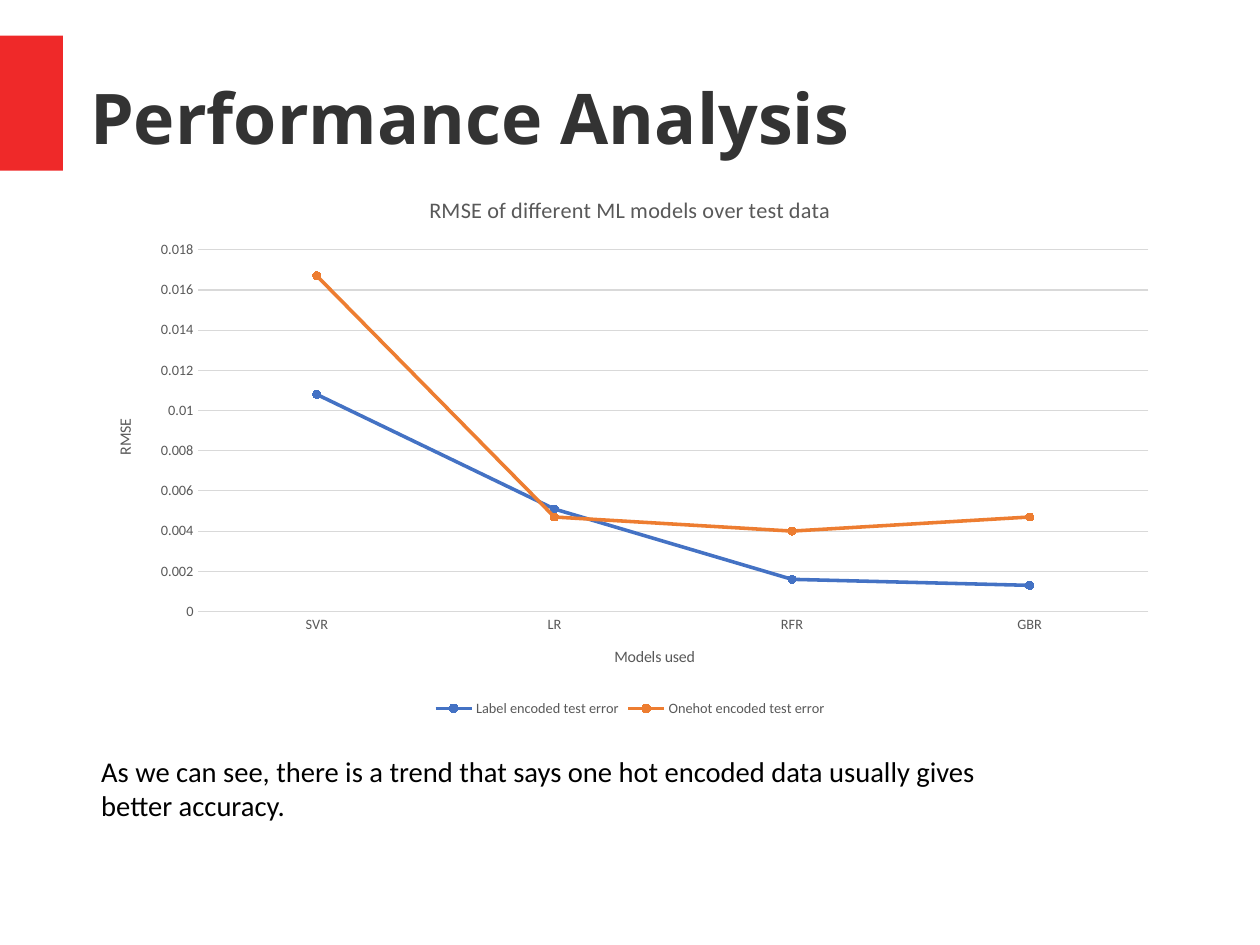
from pptx import Presentation
from pptx.chart.data import CategoryChartData
from pptx.dml.color import RGBColor
from pptx.enum.chart import XL_CHART_TYPE, XL_LEGEND_POSITION, XL_MARKER_STYLE, XL_TICK_MARK
from pptx.enum.shapes import MSO_SHAPE
from pptx.enum.text import MSO_ANCHOR
from pptx.oxml import parse_xml
from pptx.oxml.ns import nsdecls, qn
from pptx.util import Pt

# Content
TITLE = "Performance Analysis"
REMARK = ("As we can see, there is a trend that says one hot encoded data "
          "usually gives better accuracy.")
CHART_TITLE = "RMSE of different ML models over test data"
X_TITLE, Y_TITLE = "Models used", "RMSE"
MODELS = ["SVR", "LR", "RFR", "GBR"]
ERRORS = {
    "Label encoded test error": [0.0108, 0.0051, 0.0016, 0.0013],
    "Onehot encoded test error": [0.0167, 0.0047, 0.004, 0.0047],
}

THEME = {
    "head_font": "Noto Sans", "body_font": "Calibri",
    "accent": "EF2929", "head": "333333", "body": "000000",
    "label": "595959", "grid": "D9D9D9", "series": ["4472C4", "ED7D31"],
    "head_size": 44, "body_size": 18, "chart_title_size": 14,
    "axis_title_size": 10, "label_size": 9,
}

# Layout in points: left, top, width, height
SLIDE = (793.7, 595.28)
LEFT = 56.7
TAB_BOX = (0, 22.5, 39.7, 85)
TITLE_BOX = (LEFT, 24, 697, 99)
CHART_BOX = (LEFT, 109, 680.4, 345.4)
REMARK_BOX = (LEFT, 471.3, 607, 51)
PLOT = {"x": 0.1, "y": 0.14, "w": 0.88, "h": 0.66}  # shares of the chart


def box(values):
    return [Pt(v) for v in values]


def rgb(name):
    return RGBColor.from_string(THEME.get(name, name))


def style(font, size, color, face="body_font", bold=False):
    font.name, font.size, font.bold = THEME[face], Pt(THEME[size]), bold
    font.color.rgb = rgb(color)


def write(tf, text, **fmt):
    p = tf.paragraphs[0]
    r = p.add_run()
    r.text = text
    style(r.font, **fmt)


def add_text(s, place, text, margins=None, anchor=MSO_ANCHOR.TOP, **fmt):
    tf = s.shapes.add_textbox(*box(place)).text_frame
    tf.word_wrap = True
    tf.vertical_anchor = anchor
    if margins is not None:
        tf.margin_left = tf.margin_top = tf.margin_right = tf.margin_bottom = Pt(margins)
    write(tf, text, **fmt)


def style_line(line, color, width):
    line.color.rgb = rgb(color)
    line.width = Pt(width)


prs = Presentation()
prs.slide_width, prs.slide_height = box(SLIDE)
s = prs.slides.add_slide(prs.slide_layouts[6])

# Red tab and title
tab = s.shapes.add_shape(MSO_SHAPE.RECTANGLE, *box(TAB_BOX))
tab.shadow.inherit = False
tab.fill.solid()
tab.fill.fore_color.rgb = rgb("accent")
tab.line.fill.background()
add_text(s, TITLE_BOX, TITLE, margins=0, anchor=MSO_ANCHOR.MIDDLE,
         size="head_size", color="head", face="head_font", bold=True)

# Chart
data = CategoryChartData(number_format="General")
data.categories = MODELS
for name, values in ERRORS.items():
    data.add_series(name, values)
chart = s.shapes.add_chart(XL_CHART_TYPE.LINE_MARKERS, *box(CHART_BOX), data).chart
style(chart.font, "label_size", "label")
chart.has_title = True
write(chart.chart_title.text_frame, CHART_TITLE, size="chart_title_size", color="label")
chart.chart_title.include_in_layout = False
chart.has_legend = True
chart.legend.position = XL_LEGEND_POSITION.BOTTOM
chart.legend.include_in_layout = False
style(chart.legend.font, "label_size", "label")

# Axes
x_axis, y_axis = chart.category_axis, chart.value_axis
for axis, text in ((x_axis, X_TITLE), (y_axis, Y_TITLE)):
    axis.has_title = True
    write(axis.axis_title.text_frame, text, size="axis_title_size", color="label")
    axis.major_tick_mark = axis.minor_tick_mark = XL_TICK_MARK.NONE
    style(axis.tick_labels.font, "label_size", "label")
style_line(x_axis.format.line, "grid", 0.75)
y_axis.format.line.fill.background()
style_line(y_axis.major_gridlines.format.line, "grid", 0.75)
y_axis.minimum_scale, y_axis.maximum_scale, y_axis.major_unit = 0, 0.018, 0.002

# Series
plot = chart.plots[0]
plot.vary_by_categories = False
for series, color in zip(plot.series, THEME["series"]):
    series.smooth = False
    style_line(series.format.line, color, 2.25)
    series.marker.style, series.marker.size = XL_MARKER_STYLE.CIRCLE, 5
    series.marker.format.fill.solid()
    series.marker.format.fill.fore_color.rgb = rgb(color)
    style_line(series.marker.format.line, color, 0.75)

# Fixed plot area
area = chart.element.find(".//" + qn("c:plotArea"))
for old in area.findall(qn("c:layout")):
    area.remove(old)
sizes = "".join(f'<c:{key} val="{share}"/>' for key, share in PLOT.items())
area.insert(0, parse_xml(
    f'<c:layout {nsdecls("c")}><c:manualLayout><c:layoutTarget val="inner"/>'
    f'<c:xMode val="edge"/><c:yMode val="edge"/>{sizes}</c:manualLayout></c:layout>'))

# Remark
add_text(s, REMARK_BOX, REMARK, size="body_size", color="body")

prs.save("out.pptx")
